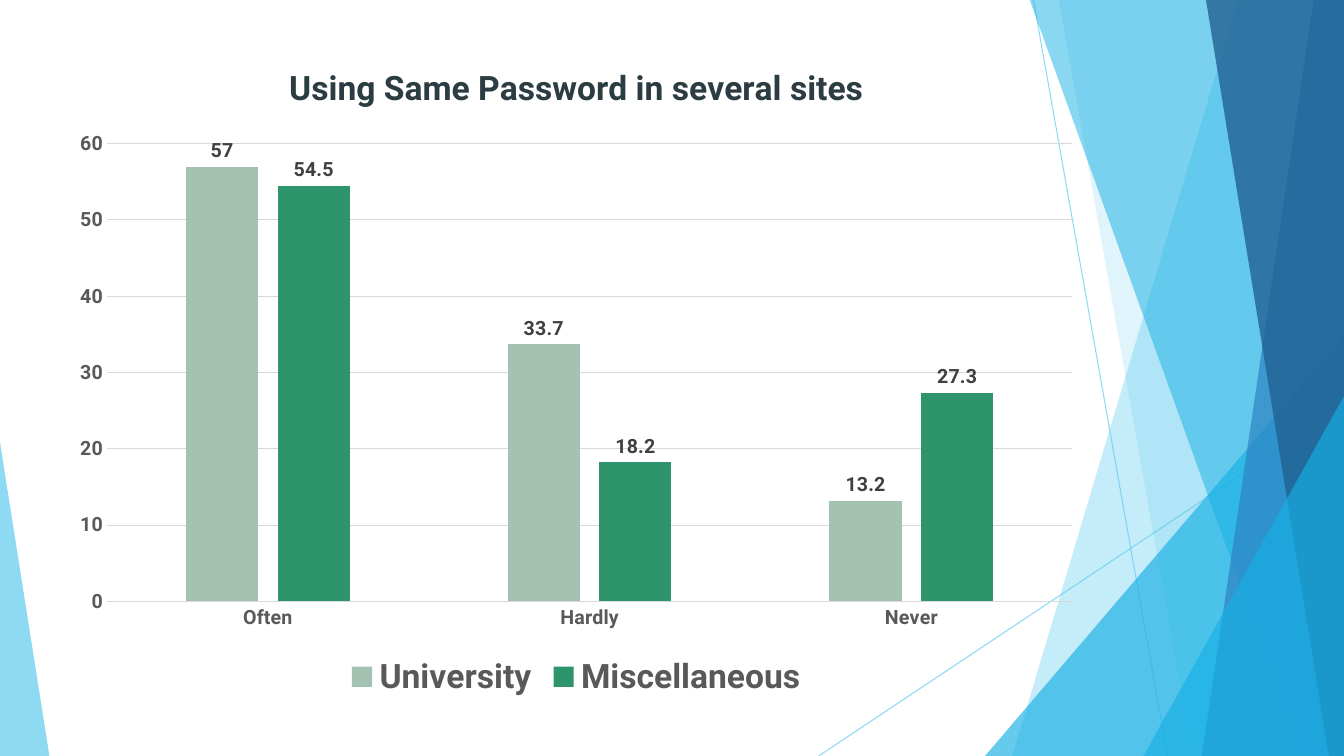
from lxml import etree
from pptx import Presentation
from pptx.chart.data import CategoryChartData
from pptx.dml.color import RGBColor
from pptx.enum.chart import XL_CHART_TYPE, XL_LABEL_POSITION, XL_LEGEND_POSITION, XL_TICK_MARK
from pptx.enum.shapes import MSO_CONNECTOR, MSO_SHAPE
from pptx.oxml.ns import qn
from pptx.util import Inches, Pt

COLUMNS = XL_CHART_TYPE.COLUMN_CLUSTERED
OUTSIDE = XL_LABEL_POSITION.OUTSIDE_END
BOTTOM = XL_LEGEND_POSITION.BOTTOM
NO_TICK = XL_TICK_MARK.NONE
STRAIGHT = MSO_CONNECTOR.STRAIGHT
TRIANGLE = MSO_SHAPE.ISOSCELES_TRIANGLE

W, H = 13.33, 7.5
TOP = -0.01
FONT = "Roboto"
COLORS = {
    "sky": "5FCBEF", "cyan": "17B0E4", "blue": "2E83C3", "navy": "226292",
    "title": "2C3C43", "text": "595959", "label": "404040", "grid": "D9D9D9",
    "sage": "A4C2B2", "green": "2E946B",
}

# Content
TITLE = "Using Same Password in several sites"
CATEGORIES = ["Often", "Hardly", "Never"]
SERIES = [
    ("University", (57, 33.7, 13.2), "sage"),
    ("Miscellaneous", (54.5, 18.2, 27.3), "green"),
]
CHART_BOX = (0.59, 0.4, 10.25, 6.58)
PLOT_LAYOUT = {"x": 0.046, "y": 0.156, "w": 0.934, "h": 0.69}

# Decoration, back to front
LINES = [((10.25, 0), (11.58, H)), ((W, 4.03), (8.12, H))]
# band: top-left x, bottom-left x; triangle: left, top, width, apex position
FACETS = [
    ("band", (12.28, 10.04), "sky", 36),
    ("band", (10.5, 11.83), "sky", 20),
    ("triangle", (9.77, 3.33, 3.56, 1), "cyan", 66),
    ("band", (10.21, 12.91), "cyan", 50),
    ("band", (13.03, 11.92), "blue", 70),
    ("band", (11.96, 13.18), "navy", 80),
    ("triangle", (11.34, 3.93, 1.99, 1), "cyan", 66),
    ("triangle", (0, 4.39, 0.49, 0), "sky", 70),
]


def rgb(name):
    return RGBColor.from_string(COLORS[name])


def set_alpha(shape, percent):
    color = next(shape._element.spPr.iter(qn("a:srgbClr")))
    etree.SubElement(color, qn("a:alpha")).set("val", str(percent * 1000))


def style_font(font, size, color):
    font.size, font.bold, font.name = Pt(size), True, FONT
    font.color.rgb = rgb(color)


def add_text(tf, text, size=24, color="title"):
    r = tf.paragraphs[0].add_run()
    r.text = text
    style_font(r.font, size, color)


def style_line(line, color):
    line.color.rgb = rgb(color)
    line.width = Pt(0.75)


def add_facet(shapes, kind, geometry, color, alpha):
    if kind == "band":
        top_x, bottom_x = geometry
        corners = [(top_x, TOP), (W, TOP), (W, H), (bottom_x, H)]
        points = [(Inches(x), Inches(y)) for x, y in corners]
        builder = shapes.build_freeform(*points[0])
        builder.add_line_segments(points[1:], close=True)
        sp = builder.convert_to_shape()
    else:
        left, top, width, apex = geometry
        sp = shapes.add_shape(TRIANGLE, *map(Inches, (left, top, width, H - top)))
        sp.adjustments[0] = apex
    sp.shadow.inherit = False
    sp.fill.solid()
    sp.fill.fore_color.rgb = rgb(color)
    sp.line.fill.background()
    set_alpha(sp, alpha)


def set_plot_layout(chart, layout):
    area = chart._chartSpace.chart.plotArea
    for old in area.findall(qn("c:layout")):
        area.remove(old)
    holder = etree.Element(qn("c:layout"))
    area.insert(0, holder)
    manual = etree.SubElement(holder, qn("c:manualLayout"))
    settings = {"layoutTarget": "inner", "xMode": "edge", "yMode": "edge", **layout}
    for tag, value in settings.items():
        etree.SubElement(manual, qn("c:" + tag)).set("val", str(value))


prs = Presentation()
prs.slide_width, prs.slide_height = Inches(W), Inches(H)
s = prs.slides.add_slide(prs.slide_layouts[6])

# Thin lines and translucent facets
for start, end in LINES:
    line = s.shapes.add_connector(STRAIGHT, *map(Inches, start + end))
    style_line(line.line, "sky")
    set_alpha(line, 70)
    etree.SubElement(line._element.spPr, qn("a:effectLst"))
for facet in FACETS:
    add_facet(s.shapes, *facet)

# Chart
data = CategoryChartData()
data.categories = CATEGORIES
for name, values, _ in SERIES:
    data.add_series(name, values)
chart = s.shapes.add_chart(COLUMNS, *map(Inches, CHART_BOX), data).chart
chart.font.name, chart.font.size = FONT, Pt(10)
chart.has_title = True
add_text(chart.chart_title.text_frame, TITLE)
chart.chart_title.include_in_layout = False
chart.has_legend = True
chart.legend.position = BOTTOM
chart.legend.include_in_layout = False
style_font(chart.legend.font, 24, "text")
set_plot_layout(chart, PLOT_LAYOUT)

# Axes
for axis in (chart.category_axis, chart.value_axis):
    axis.major_tick_mark = axis.minor_tick_mark = NO_TICK
    style_font(axis.tick_labels.font, 14, "text")
style_line(chart.category_axis.format.line, "grid")
value_axis = chart.value_axis
value_axis.format.line.fill.background()
value_axis.minimum_scale, value_axis.maximum_scale, value_axis.major_unit = 0, 60, 10
style_line(value_axis.major_gridlines.format.line, "grid")

# Columns and their values
plot = chart.plots[0]
plot.gap_width, plot.overlap, plot.vary_by_categories = 219, -27, False
for series, (_, _, color) in zip(plot.series, SERIES):
    series.format.fill.solid()
    series.format.fill.fore_color.rgb = rgb(color)
    labels = series.data_labels
    labels.show_value = True
    labels.position = OUTSIDE
    style_font(labels.font, 14, "label")

prs.save("out.pptx")
